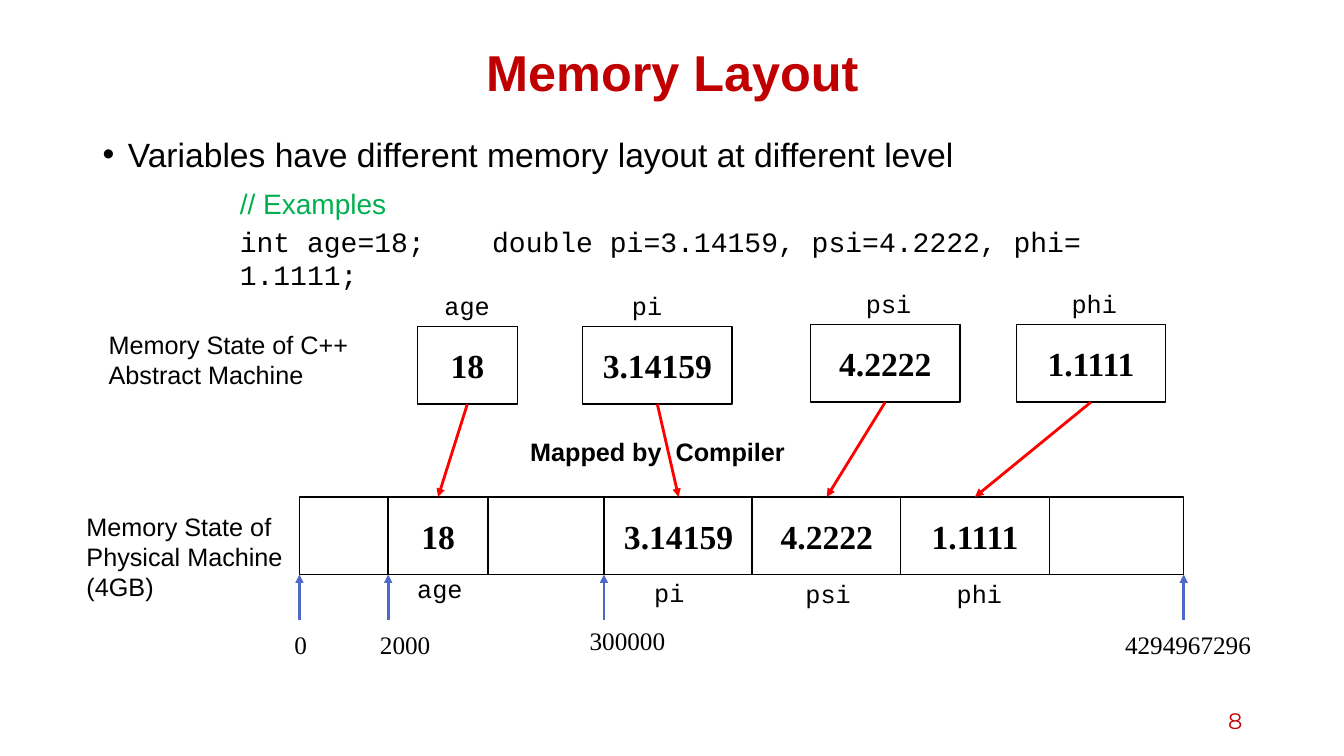
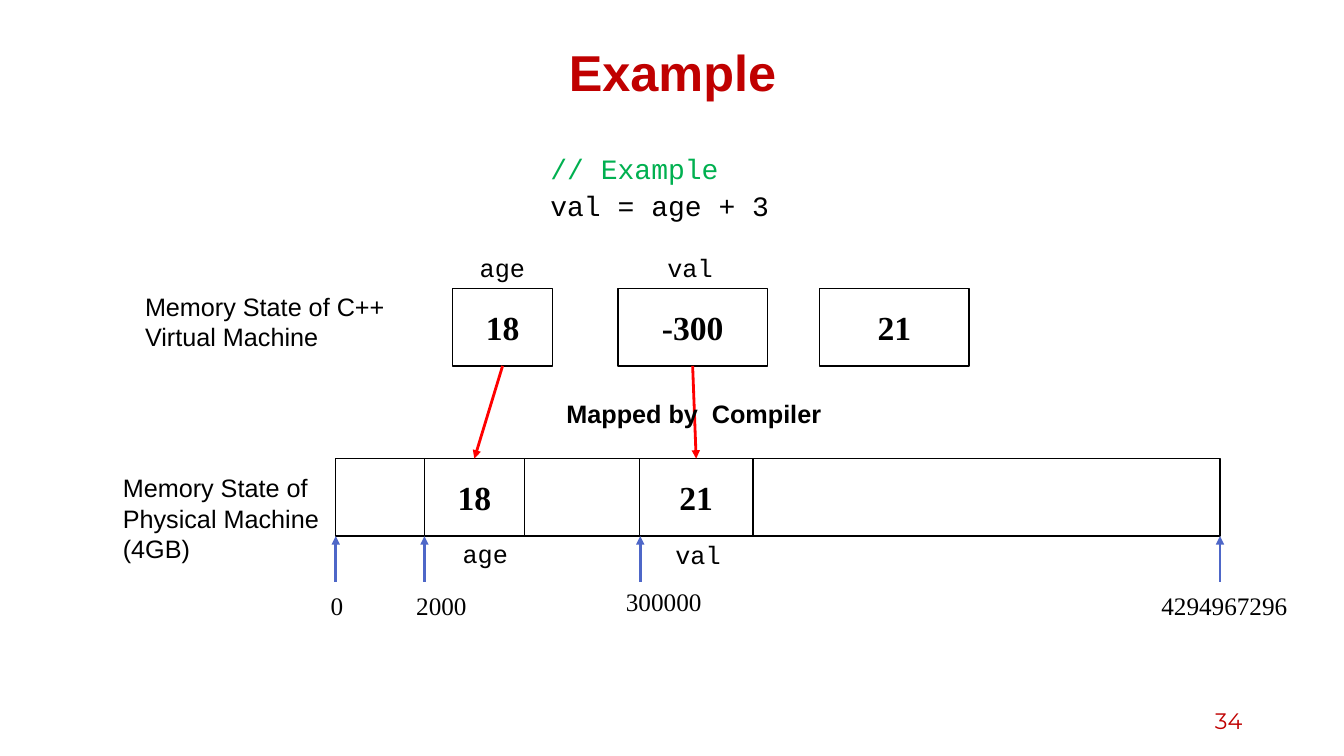
from pptx import Presentation
from pptx.dml.color import RGBColor
from pptx.enum.shapes import MSO_CONNECTOR, MSO_SHAPE
from pptx.enum.text import MSO_ANCHOR, PP_ALIGN
from pptx.oxml.ns import qn
from pptx.util import Inches, Pt
from lxml.etree import SubElement

BLACK = RGBColor(0x00, 0x00, 0x00)
WHITE = RGBColor(0xFF, 0xFF, 0xFF)
CRIMSON = RGBColor(0xC0, 0x00, 0x00)
GREEN = RGBColor(0x00, 0xB0, 0x50)
BLUE = RGBColor(0x4E, 0x67, 0xC8)
RED = RGBColor(0xFF, 0x00, 0x00)

# Text styles: font values, then colour
TITLE = dict(name="Arial", size=Pt(36), bold=True), CRIMSON
BODY = dict(name="Arial", size=Pt(24)), BLACK
NOTE = dict(name="Arial", size=Pt(18)), BLACK
STRONG = dict(name="Arial", size=Pt(18), bold=True), BLACK
VALUE = dict(name="Times New Roman", size=Pt(24), bold=True), BLACK
MARK = dict(name="Times New Roman", size=Pt(18)), BLACK
NAME = dict(name="Courier New", size=Pt(18)), BLACK
CODE = dict(name="Courier New", size=Pt(20)), BLACK
REMARK = dict(name="Courier New", size=Pt(20)), GREEN
HEAD = dict(name="Arial", size=Pt(20)), GREEN
NUMBER = dict(name="Montserrat", size=Pt(16)), CRIMSON

CELL_H = 0.77
BAR_W = 8.77

# Address marks: tick x, label x, label y and label width from the bar's corner
MARKS = [
    ("0", 0, -0.15, 1.26, 0.55),
    ("2000", 0.88, 0.7, 1.26, 0.87),
    ("300000", 3.02, 2.78, 1.22, 1.1),
    ("4294967296", BAR_W, 8.09, 1.26, 1.66),
]

# Each variable: name, then value, x, y, width, name x of the upper box,
# then value, x, width, name x, name y of the cell in the bar
PAGES = [
    dict(
        title="Memory Layout", number="8", bar=(2.97, 4.93), machine="Abstract",
        bullet="Variables have different memory layout at different level",
        code=(2.28, 1.8, 9.19),
        lines=[("// Examples", HEAD),
               ("int age=18;    double pi=3.14159, psi=4.2222, phi= 1.1111;", CODE)],
        vars=[
            ("age", ("18", 4.14, 3.24, 0.99, 4.31), ("18", 3.85, 0.99, 4.04, 5.64)),
            ("pi", ("3.14159", 5.78, 3.24, 1.48, 6.17), ("3.14159", 5.99, 1.48, 6.39, 5.68)),
            ("psi", ("4.2222", 8.04, 3.22, 1.48, 8.49), ("4.2222", 7.46, 1.48, 7.89, 5.69)),
            ("phi", ("1.1111", 10.08, 3.22, 1.48, 10.53), ("1.1111", 8.93, 1.48, 9.39, 5.69)),
        ],
        spare=None),
    dict(
        title="Example", number="34", bar=(3.33, 4.55), machine="Virtual",
        bullet=None,
        code=(5.36, 1.45, 3.51),
        lines=[("// Example", REMARK), ("val = age + 3", CODE)],
        vars=[
            ("age", ("18", 4.49, 2.86, 0.99, 4.66), ("18", 4.21, 0.99, 4.49, 5.29)),
            ("val", ("-300", 6.13, 2.86, 1.48, 6.52), ("21", 6.34, 1.13, 6.6, 5.3)),
        ],
        spare=("21", 8.13, 2.86, 1.48)),
]


def put(slide, x, y, w, h, lines, boxed=False):
    """Add a text box, or an outlined box with centred text."""
    area = [Inches(v) for v in (x, y, w, h)]
    if boxed:
        shape = slide.shapes.add_shape(MSO_SHAPE.RECTANGLE, *area)
        shape.shadow.inherit = False
        shape.fill.solid()
        shape.fill.fore_color.rgb = WHITE
        shape.line.color.rgb = BLACK
        shape.line.width = Pt(1)
    else:
        shape = slide.shapes.add_textbox(*area)
    frame = shape.text_frame
    frame.word_wrap = True
    frame.vertical_anchor = MSO_ANCHOR.MIDDLE if boxed else MSO_ANCHOR.TOP
    for i, (text, (look, color)) in enumerate(lines):
        para = frame.add_paragraph() if i else frame.paragraphs[0]
        para.alignment = PP_ALIGN.CENTER if boxed else PP_ALIGN.LEFT
        run = para.add_run()
        run.text = text
        run.font.color.rgb = color
        for key, val in look.items():
            setattr(run.font, key, val)
    return shape


def arrow(slide, x1, y1, x2, y2, color):
    """Add a straight arrow that points at its end."""
    ends = [Inches(v) for v in (x1, y1, x2, y2)]
    link = slide.shapes.add_connector(MSO_CONNECTOR.STRAIGHT, *ends)
    link.line.color.rgb = color
    link.line.width = Pt(2)
    props = link.element.spPr
    SubElement(props.find(qn("a:ln")), qn("a:tailEnd"), type="triangle")
    SubElement(props, qn("a:effectLst"))
    return link


deck = Presentation()
deck.slide_width = Inches(13.33)
deck.slide_height = Inches(7.5)

for page in PAGES:
    slide = deck.slides.add_slide(deck.slide_layouts[5])

    # Title
    title = slide.shapes.title
    title.left, title.top = Inches(0.92), Inches(0.4)
    title.width, title.height = Inches(11.5), Inches(0.7)
    title.text_frame.text = page["title"]
    title.text_frame.vertical_anchor = MSO_ANCHOR.MIDDLE
    para = title.text_frame.paragraphs[0]
    para.alignment = PP_ALIGN.CENTER
    para.line_spacing = 0.9
    look, color = TITLE
    para.font.color.rgb = color
    for key, val in look.items():
        setattr(para.font, key, val)

    # Bullet
    if page["bullet"]:
        body = put(slide, 0.92, 1.32, 11.5, 0.5, [(page["bullet"], BODY)])
        para = body.text_frame.paragraphs[0]
        para.line_spacing = 0.9
        props = para._p.get_or_add_pPr()
        props.set("marL", str(Inches(0.25)))
        props.set("indent", str(Inches(-0.25)))
        SubElement(props, qn("a:buFont"), typeface="Arial")
        SubElement(props, qn("a:buChar"), char="•")

    # Slide number
    foot = put(slide, 9.42, 6.95, 3, 0.4, [(page["number"], NUMBER)])
    foot.text_frame.vertical_anchor = MSO_ANCHOR.MIDDLE
    foot.text_frame.paragraphs[0].alignment = PP_ALIGN.RIGHT

    # Physical memory bar with address marks
    left, top = page["bar"]
    base = top + CELL_H
    put(slide, left, top, BAR_W, CELL_H, [], boxed=True)
    for text, tick, x, y, w in MARKS:
        put(slide, left + x, top + y, w, 0.4, [(text, MARK)])

    # Variables in both memories, joined by arrows
    for name, (text, x, y, w, name_x), (held, cell_x, cell_w, tag_x, tag_y) in page["vars"]:
        cell = put(slide, cell_x, top, cell_w, CELL_H, [(held, VALUE)], boxed=True)
        put(slide, tag_x, tag_y, 0.87, 0.4, [(name, NAME)])
        box = put(slide, x, y, w, CELL_H, [(text, VALUE)], boxed=True)
        put(slide, name_x, y - 0.41, 0.87, 0.4, [(name, NAME)])
        link = arrow(slide, x + w / 2, y + CELL_H, cell_x + cell_w / 2, top, RED)
        link.begin_connect(box, 2)
        link.end_connect(cell, 0)
    for text, tick, x, y, w in MARKS:
        arrow(slide, left + tick, base + 0.45, left + tick, base, BLUE)
    if page["spare"]:
        text, x, y, w = page["spare"]
        put(slide, x, y, w, CELL_H, [(text, VALUE)], boxed=True)

    # Captions
    put(slide, left - 2.21, top + 0.09, 2.37, 1.01,
        [("Memory State of Physical Machine", NOTE), ("(4GB)", NOTE)])
    put(slide, left - 1.99, top - 1.71, 2.6, 0.71,
        [(f"Memory State of C++ {page['machine']} Machine", NOTE)])
    put(slide, left + 2.19, top - 0.65, 3.35, 0.4, [("Mapped by  Compiler", STRONG)])

    # Code
    code = put(slide, *page["code"], 0.81, page["lines"])
    code.text_frame.paragraphs[1].space_before = Pt(3)

deck.save("out.pptx")
